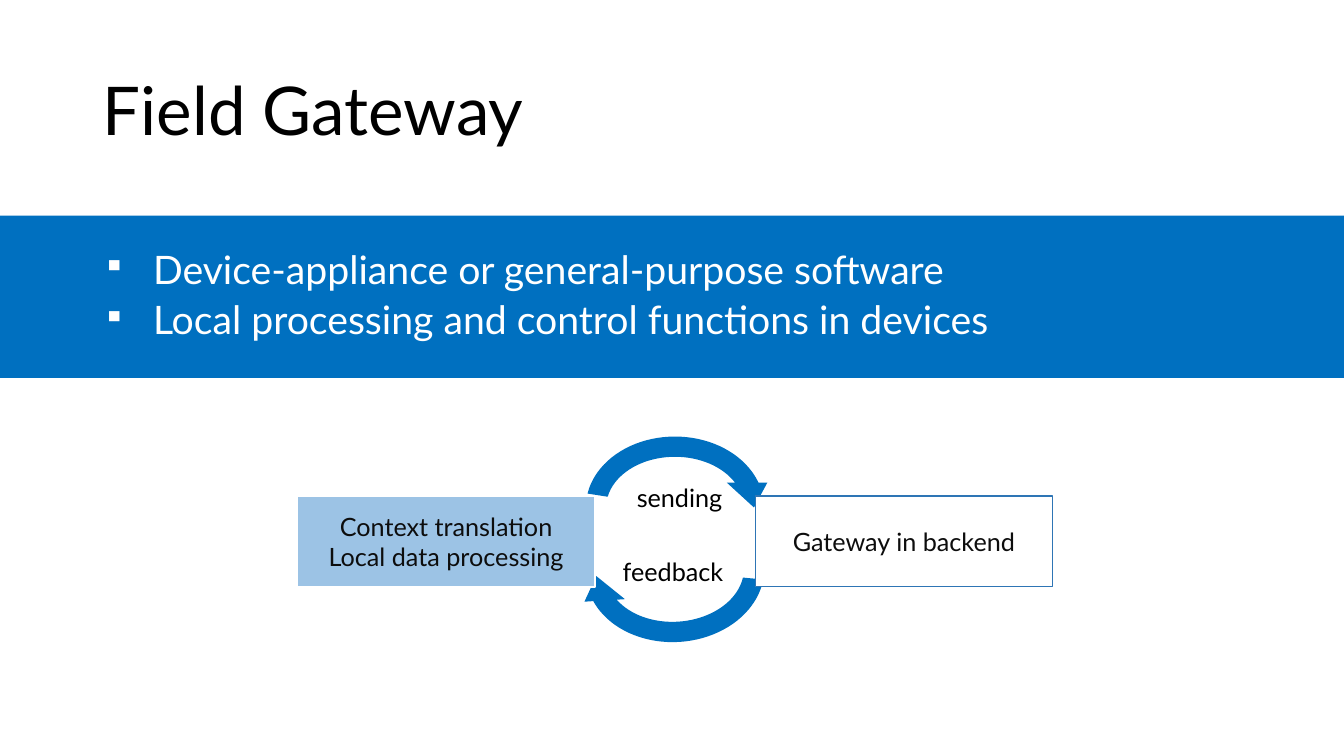
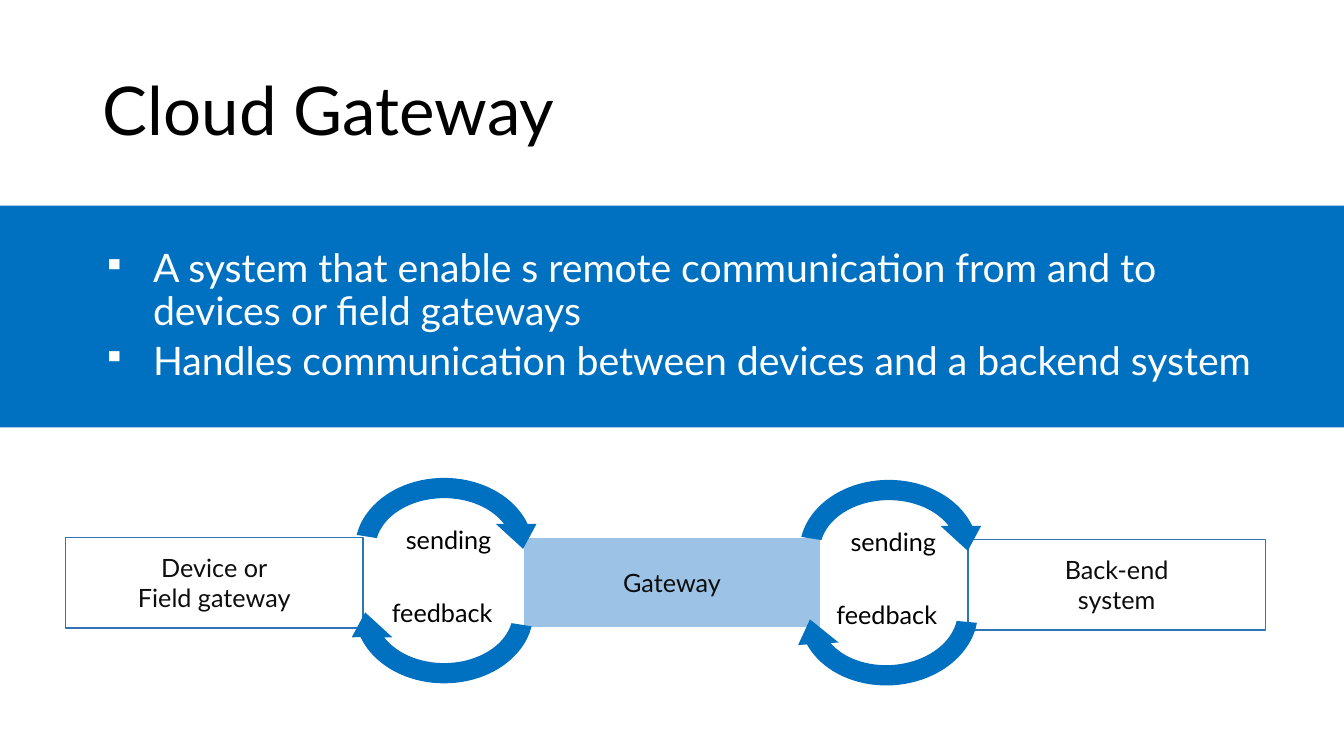
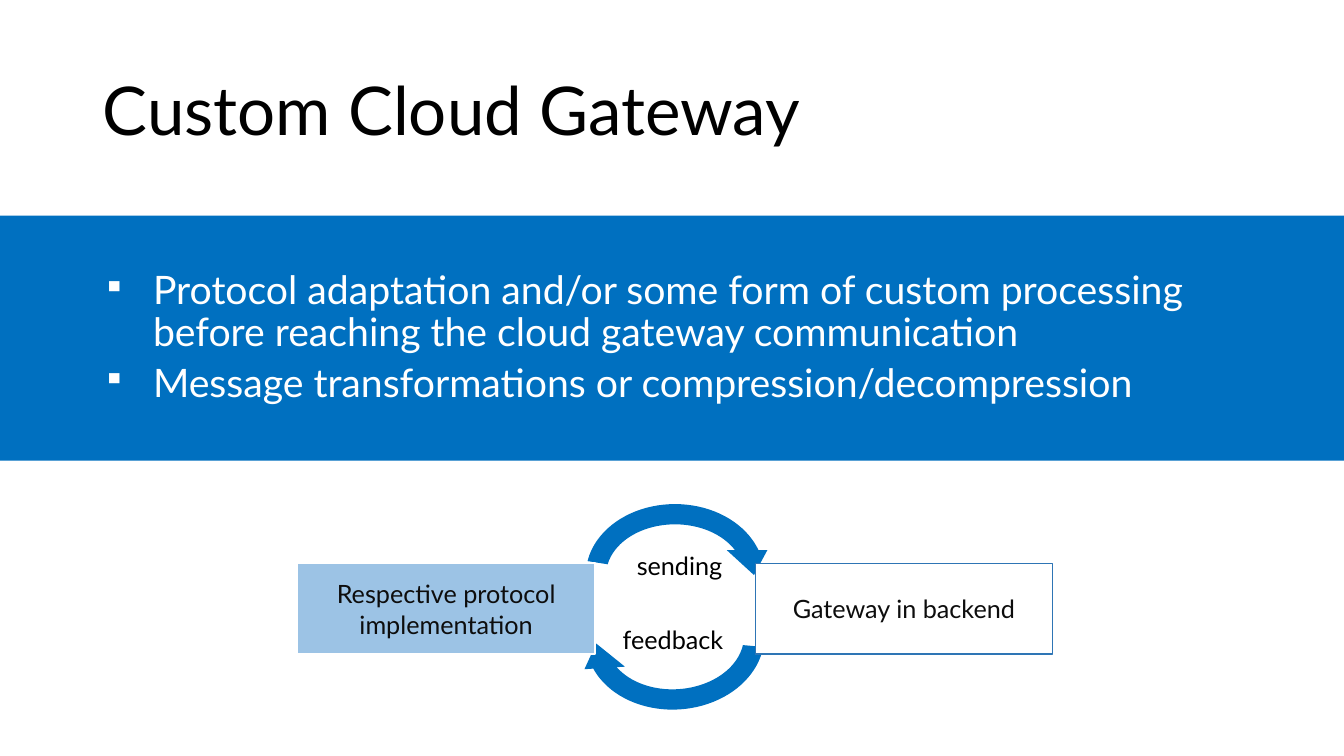
import pptx
import pptx.dml.color
import pptx.enum.shapes
import pptx.enum.text
import pptx.oxml.ns
import pptx.util
from lxml import etree
from pptx.util import Inches

FONT = "Lato"
COLORS = {
    "title": "000000",
    "band": "0070C0",
    "white": "FFFFFF",
    "light": "9CC3E5",
    "outline": "2E75B5",
    "box_text": "0D0D0D",
}
SLIDE_WIDTH, SLIDE_HEIGHT = 13.33, 7.5
MARGIN = 0.92
BOX_SIZE = (2.95, 0.9)
ARROW_SIZE = (1.97, 1.61)
ARROW_ADJUSTMENTS = (0.125, 11.423, 204.577, 113.44, 0.125)
SHAPES = pptx.enum.shapes.MSO_SHAPE
ALIGN = pptx.enum.text.PP_ALIGN
ANCHOR = pptx.enum.text.MSO_ANCHOR
AUTO_SIZE = pptx.enum.text.MSO_AUTO_SIZE


def rgb(name):
    return pptx.dml.color.RGBColor.from_string(COLORS[name])


def add_bullet(para):
    """Square bullet with a hanging indent."""
    properties = para._p.get_or_add_pPr()
    properties.set("marL", str(Inches(0.5)))
    properties.set("indent", str(Inches(-0.5)))
    for tag, key, value in (("a:buSzPct", "val", "80000"), ("a:buChar", "char", "▪")):
        etree.SubElement(properties, pptx.oxml.ns.qn(tag)).set(key, value)


def write_text(frame, lines, size=18, color="title", align=ALIGN.CENTER,
               anchor=ANCHOR.MIDDLE, wrap=True, auto_size=AUTO_SIZE.NONE,
               line_spacing=1.0, gap=0, bullets=False):
    """Write one paragraph per line; gap is the space between them in points."""
    frame.word_wrap = wrap
    frame.auto_size = auto_size
    frame.vertical_anchor = anchor
    for index, line in enumerate(lines):
        para = frame.add_paragraph() if index else frame.paragraphs[0]
        if bullets:
            add_bullet(para)
        para.alignment = align
        para.line_spacing = line_spacing
        if index and gap:
            para.space_before = pptx.util.Pt(gap)
        span = para.add_run()
        span.text = line
        span.font.name = FONT
        span.font.size = pptx.util.Pt(size)
        span.font.color.rgb = rgb(color)


def add_shape(shapes, kind, left, top, width, height, fill, line=None, line_width=1):
    shape = shapes.add_shape(kind, Inches(left), Inches(top), Inches(width), Inches(height))
    shape.shadow.inherit = False
    shape.fill.solid()
    shape.fill.fore_color.rgb = rgb(fill)
    if line:
        shape.line.color.rgb = rgb(line)
        shape.line.width = pptx.util.Pt(line_width)
    else:
        shape.line.fill.background()
    return shape


def add_textbox(shapes, left, top, width, height, lines, **text_format):
    box = shapes.add_textbox(Inches(left), Inches(top), Inches(width), Inches(height))
    write_text(box.text_frame, lines, **text_format)


def add_slide(deck, title):
    slide = deck.slides.add_slide(deck.slide_layouts.get_by_name("Title Only"))
    heading = slide.shapes.title
    heading.left, heading.top = Inches(MARGIN), Inches(0.4)
    heading.width, heading.height = Inches(11.5), Inches(1.45)
    write_text(heading.text_frame, [title], size=48, align=ALIGN.LEFT, line_spacing=0.9)
    return slide


def add_band(slide, top, height, points):
    """Full-width band with bullet points centred on its height."""
    group = slide.shapes.add_group_shape()
    add_shape(group.shapes, SHAPES.RECTANGLE, 0, top, SLIDE_WIDTH, height, "band")
    text_height = 0.845 * height
    add_textbox(group.shapes, MARGIN, top + (height - text_height) / 2, 11.63, text_height,
                points, size=28, color="white", align=ALIGN.LEFT,
                line_spacing=0.9, gap=5.6, bullets=True)


def add_exchange(slide, left, top, turn=176.4):
    """Two circular arrows around the labels of both directions."""
    for offset, rotation in ((0, 0), (0.63, turn)):
        arrow = add_shape(slide.shapes, SHAPES.CIRCULAR_ARROW, left, top + offset,
                          *ARROW_SIZE, "band")
        for index, value in enumerate(ARROW_ADJUSTMENTS):
            arrow.adjustments[index] = value
        arrow.rotation = rotation
    for label, across, down, width in (("sending", 0.49, 0.51, 1.08),
                                       ("feedback", 0.36, 1.24, 1.21)):
        add_textbox(slide.shapes, left + across, top + down, width, 0.4, [label],
                    anchor=ANCHOR.TOP, wrap=False, auto_size=AUTO_SIZE.SHAPE_TO_FIT_TEXT)


def add_box(slide, left, top, lines, highlighted=False):
    fill, line, line_width = ("light", "white", 1.5) if highlighted else ("white", "outline", 1)
    box = add_shape(slide.shapes, SHAPES.RECTANGLE, left, top, *BOX_SIZE,
                    fill, line, line_width)
    write_text(box.text_frame, lines, color="box_text")


def add_backend_flow(slide, top, lines):
    """A highlighted box exchanging messages with the backend gateway."""
    add_exchange(slide, 5.71, top)
    add_box(slide, 2.95, top + 0.69, lines, highlighted=True)
    add_box(slide, 7.49, top + 0.69, ["Gateway in backend"])


def main():
    deck = pptx.Presentation()
    deck.slide_width, deck.slide_height = Inches(SLIDE_WIDTH), Inches(SLIDE_HEIGHT)

    # Field gateway
    slide = add_slide(deck, "Field Gateway")
    add_band(slide, 2.14, 1.61, ["Device-appliance or general-purpose software",
                                 "Local processing and control functions in devices"])
    add_backend_flow(slide, 4.23, ["Context translation", "Local data processing"])

    # Cloud gateway: three boxes joined by two exchanges
    slide = add_slide(deck, "Cloud Gateway")
    add_box(slide, 0.65, 5.33, ["Device or", "Field gateway"])
    add_box(slide, 5.19, 5.33, ["Gateway"], highlighted=True)
    add_box(slide, 9.6, 5.35, ["Back-end", "system"])
    add_band(slide, 2.04, 2.2, [
        "A system that enable s remote communication from and to devices or field gateways",
        "Handles communication between devices and a backend system"])
    add_exchange(slide, 3.42, 4.64, turn=180)
    add_exchange(slide, 7.83, 4.66)

    # Custom cloud gateway
    slide = add_slide(deck, "Custom Cloud Gateway")
    add_band(slide, 2.14, 2.43, [
        "Protocol adaptation and/or some form of custom processing before reaching "
        "the cloud gateway communication",
        "Message transformations or compression/decompression"])
    add_backend_flow(slide, 4.9, ["Respective protocol implementation"])

    deck.save("out.pptx")


if __name__ == "__main__":
    main()
